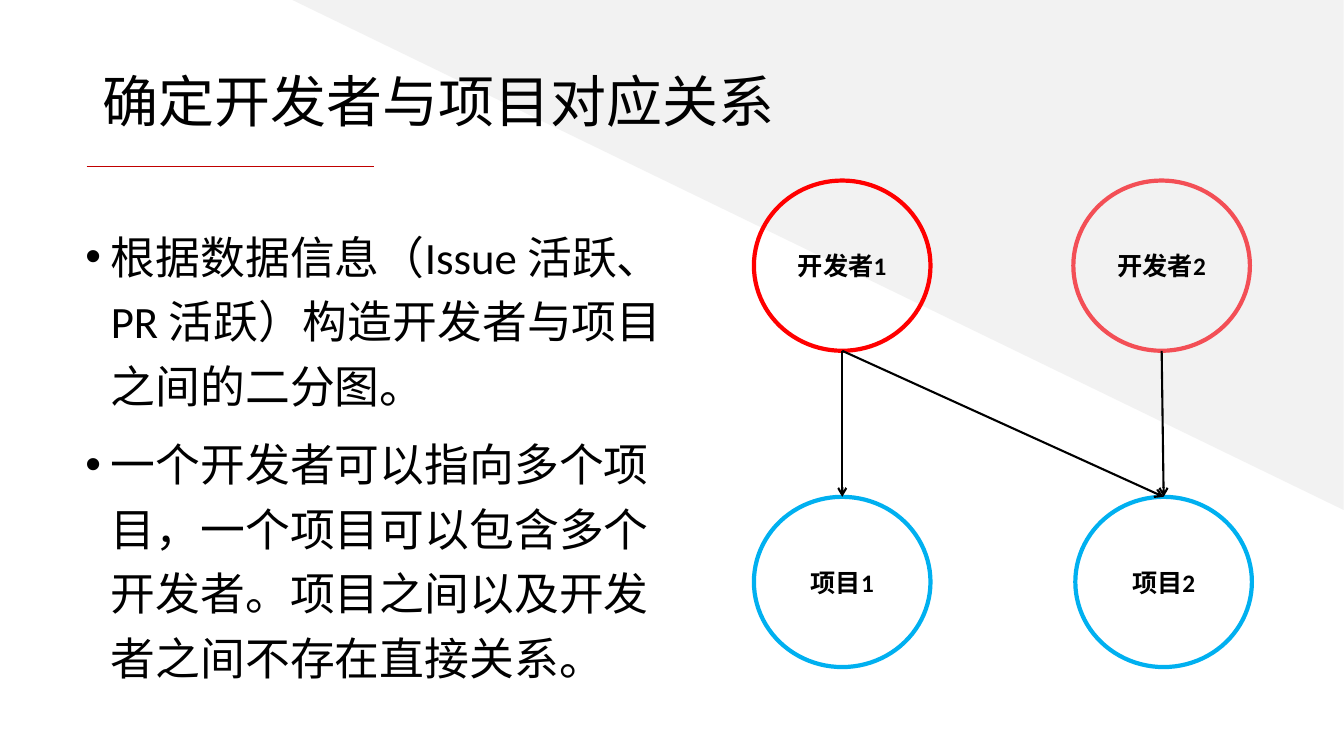
"""Slide that maps developers to projects as a bipartite graph."""
from dataclasses import dataclass

from pptx import Presentation
from pptx.dml.color import RGBColor
from pptx.enum.shapes import MSO_CONNECTOR, MSO_SHAPE
from pptx.enum.text import MSO_ANCHOR, MSO_AUTO_SIZE, PP_ALIGN
from pptx.oxml.ns import qn
from pptx.util import Cm, Pt

BLACK = RGBColor(0x00, 0x00, 0x00)
GREY = RGBColor(0xF2, 0xF2, 0xF2)
RED = RGBColor(0xFF, 0x00, 0x00)
CORAL = RGBColor(0xF3, 0x4F, 0x56)
BLUE = RGBColor(0x00, 0xB0, 0xF0)
DARK_RED = RGBColor(0xC0, 0x00, 0x00)

FONT = "Calibri"
NODE_W, NODE_H = 4.45, 4.29
DEVELOPER_Y, PROJECT_Y = 4.55, 12.52
ELLIPSE_BOTTOM_SITE = "4"

TITLE = "确定开发者与项目对应关系"
BULLETS = [
    "根据数据信息（Issue 活跃、PR 活跃）构造开发者与项目之间的二分图。",
    "一个开发者可以指向多个项目，一个项目可以包含多个开发者。项目之间以及开发者之间不存在直接关系。",
]


@dataclass(frozen=True)
class Node:
    label: str
    x: float
    y: float
    color: RGBColor


@dataclass(frozen=True)
class Edge:
    developer: str
    project: str


NODES = [
    Node("项目2", 27.1, PROJECT_Y, BLUE),
    Node("项目1", 19, PROJECT_Y, BLUE),
    Node("开发者1", 19, DEVELOPER_Y, RED),
    Node("开发者2", 27.05, DEVELOPER_Y, CORAL),
]
EDGES = [
    Edge("开发者1", "项目1"),
    Edge("开发者1", "项目2"),
    Edge("开发者2", "项目2"),
]


def place(shape, x: float, y: float, w: float, h: float) -> None:
    """Move and size a shape, in centimetres."""
    shape.left, shape.top, shape.width, shape.height = Cm(x), Cm(y), Cm(w), Cm(h)


def format_runs(p, size: int, bold: bool = False) -> None:
    """Apply the slide's font to every run of a paragraph."""
    for r in p.runs:
        r.font.name = FONT
        r.font.size = Pt(size)
        r.font.bold = bold
        r.font.color.rgb = BLACK


def add_background(s) -> None:
    """Add the grey corner triangle behind the placeholders."""
    sp = s.shapes.add_shape(
        MSO_SHAPE.RIGHT_TRIANGLE, Cm(7.37), Cm(0), Cm(26.49), Cm(12.85)
    )
    sp.rotation = 180
    sp.shadow.inherit = False
    sp.fill.solid()
    sp.fill.fore_color.rgb = GREY
    sp.line.fill.background()
    s.shapes._spTree.insert(2, sp._element)


def add_title(s) -> None:
    """Fill the title placeholder."""
    sp = s.shapes.title
    place(sp, 2.34, 0.79, 29.21, 3.68)
    tf = sp.text_frame
    tf.text = TITLE
    tf.auto_size = MSO_AUTO_SIZE.NONE
    tf.vertical_anchor = MSO_ANCHOR.MIDDLE
    p = tf.paragraphs[0]
    p.alignment = PP_ALIGN.LEFT
    p.line_spacing = 0.9
    format_runs(p, 40)


def add_bullets(s) -> None:
    """Fill the body placeholder with the bulleted list."""
    sp = s.placeholders[1]
    place(sp, 1.9, 5.38, 15.14, 14.3)
    tf = sp.text_frame
    tf.text = "\n".join(BULLETS)
    tf.auto_size = MSO_AUTO_SIZE.NONE
    for p in tf.paragraphs:
        p.line_spacing = 1.2
        p.space_before = Pt(10)
        pPr = p._p.get_or_add_pPr()
        pPr.set("marL", str(Cm(0.64)))
        pPr.set("indent", str(-Cm(0.64)))
        format_runs(p, 32)


def add_line(s, x1: float, y1: float, x2: float, y2: float,
             color: RGBColor, width: float):
    """Add a straight line without a shadow."""
    c = s.shapes.add_connector(
        MSO_CONNECTOR.STRAIGHT, Cm(x1), Cm(y1), Cm(x2), Cm(y2)
    )
    c.line.color.rgb = color
    c.line.width = Pt(width)
    spPr = c._element.spPr
    spPr.append(spPr.makeelement(qn("a:effectLst"), {}))
    return c


def add_node(s, node: Node):
    """Add one labelled circle of the graph."""
    sp = s.shapes.add_shape(
        MSO_SHAPE.OVAL, Cm(node.x), Cm(node.y), Cm(NODE_W), Cm(NODE_H)
    )
    sp.shadow.inherit = False
    sp.fill.background()
    sp.line.color.rgb = node.color
    sp.line.width = Pt(3)
    tf = sp.text_frame
    tf.text = node.label
    tf.vertical_anchor = MSO_ANCHOR.MIDDLE
    p = tf.paragraphs[0]
    p.alignment = PP_ALIGN.CENTER
    format_runs(p, 18, bold=True)
    return sp


def add_edge(s, developer, project) -> None:
    """Add an arrow from a developer's bottom to a project's top."""
    c = add_line(s, 0, 0, 0, 0, BLACK, 1.5)
    c.begin_connect(developer, 2)
    c.end_connect(project, 0)
    c._element.xpath(".//a:stCxn")[0].set("idx", ELLIPSE_BOTTOM_SITE)
    ln = c.line._get_or_add_ln()
    ln.append(ln.makeelement(qn("a:tailEnd"), {"type": "arrow"}))


def main() -> None:
    """Build and save the slide."""
    prs = Presentation()
    prs.slide_width, prs.slide_height = Cm(33.87), Cm(19.05)
    s = prs.slides.add_slide(prs.slide_layouts[1])
    add_background(s)
    add_title(s)
    add_line(s, 2.18, 4.19, 9.42, 4.19, DARK_RED, 1)
    add_bullets(s)
    circles = {node.label: add_node(s, node) for node in NODES}
    for edge in EDGES:
        add_edge(s, circles[edge.developer], circles[edge.project])
    prs.save("out.pptx")


if __name__ == "__main__":
    main()
